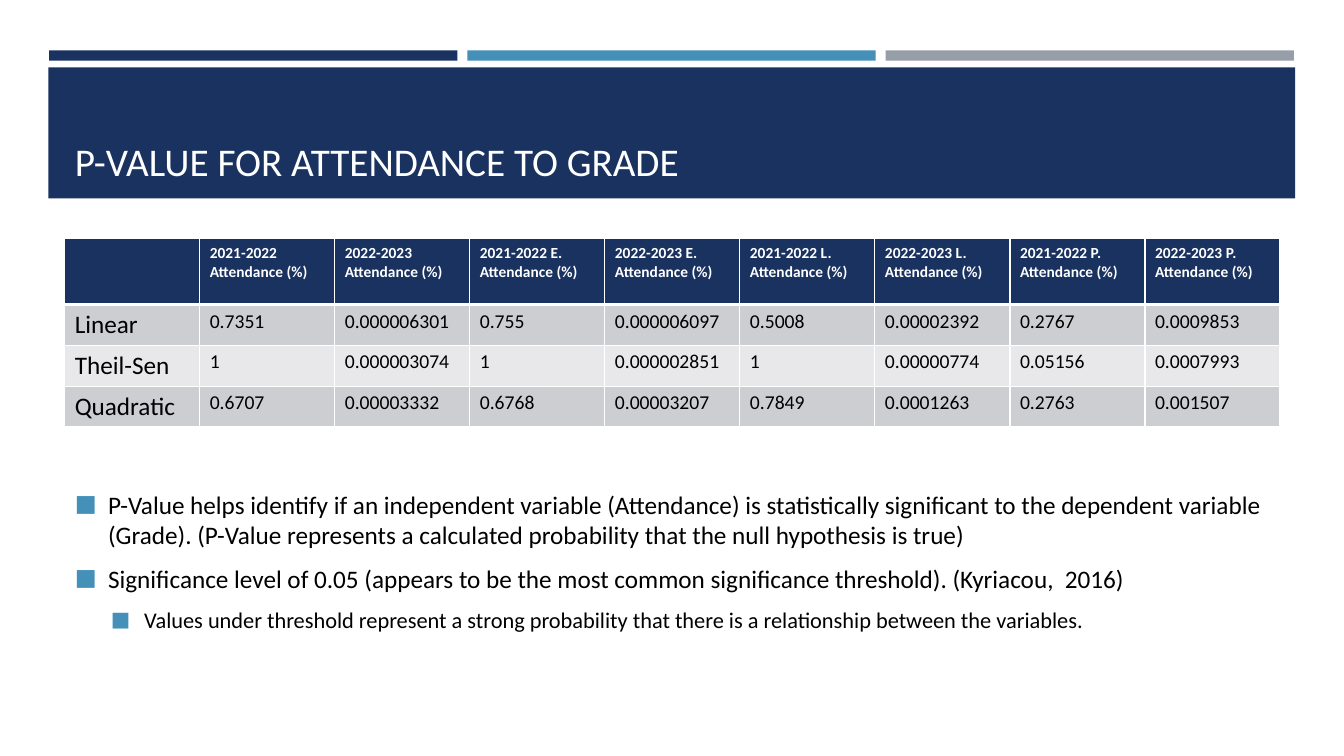
from dataclasses import dataclass

from lxml.etree import SubElement
from pptx import Presentation
from pptx.dml.color import RGBColor
from pptx.enum.shapes import MSO_SHAPE as Preset
from pptx.enum.text import MSO_ANCHOR as Anchor, MSO_AUTO_SIZE as AutoSize, PP_ALIGN as Align
from pptx.oxml import parse_xml
from pptx.oxml.ns import nsdecls, qn
from pptx.util import Cm, Pt

COLOURS = {
    "navy": "1A3260",
    "blue": "4590B8",
    "grey": "969FA7",
    "white": "FFFFFF",
    "black": "000000",
    "odd row": "CDCED2",
    "even row": "E8E8EA",
}
FORMATS = {
    "title": {"name": "Calibri", "size": Pt(28), "bold": False},
    "header": {"name": "Calibri", "size": Pt(11), "bold": True},
    "model": {"name": "Calibri", "size": Pt(18), "bold": False},
    "value": {"name": "Calibri", "size": Pt(14), "bold": False},
    "point": {"name": "Calibri", "size": Pt(18), "bold": False},
    "subpoint": {"name": "Calibri", "size": Pt(16), "bold": False},
}
LEFT, WIDTH = 1.63, 30.63


@dataclass
class Band:
    left: float
    top: float
    width: float
    height: float
    colour: str


@dataclass
class Point:
    text: str
    level: int
    indent: float
    style: str


BANDS = [
    Band(1.24 + 10.54 * index, 1.27, 10.29, 0.26, colour)
    for index, colour in enumerate(("navy", "blue", "grey"))
] + [Band(1.22, 1.7, 31.42, 3.3, "navy")]

P_VALUES = [
    ["", "2021-2022\nAttendance (%)", "2022-2023\nAttendance (%)"]
    + [f"{years} {group}. Attendance (%)" for group in "ELP" for years in ("2021-2022", "2022-2023")],
    ["Linear", "0.7351", "0.000006301", "0.755", "0.000006097",
     "0.5008", "0.00002392", "0.2767", "0.0009853"],
    ["Theil-Sen", "1", "0.000003074", "1", "0.000002851",
     "1", "0.00000774", "0.05156", "0.0007993"],
    ["Quadratic", "0.6707", "0.00003332", "0.6768", "0.00003207",
     "0.7849", "0.0001263", "0.2763", "0.001507"],
]

POINTS = [
    Point("P-Value helps identify if an independent variable (Attendance) is statistically "
          "significant to the dependent variable (Grade). (P-Value represents a calculated "
          "probability that the null hypothesis is true)", 0, 0.84, "point"),
    Point("Significance level of 0.05 (appears to be the most common significance threshold). "
          "(Kyriacou,  2016)", 0, 0.84, "point"),
    Point("Values under threshold represent a strong probability that there is a relationship "
          "between the variables.", 1, 1.75, "subpoint"),
]


def rgb(colour: str) -> RGBColor:
    return RGBColor.from_string(COLOURS[colour])


def format_font(font, style: str, colour: str) -> None:
    for attribute, value in FORMATS[style].items():
        setattr(font, attribute, value)
    font.color.rgb = rgb(colour)


def place(placeholder, top: float, height: float, anchor: Anchor) -> None:
    box = {"left": Cm(LEFT), "top": Cm(top), "width": Cm(WIDTH), "height": Cm(height)}
    for attribute, value in box.items():
        setattr(placeholder, attribute, value)
    frame = {"vertical_anchor": anchor, "word_wrap": True, "auto_size": AutoSize.NONE}
    for attribute, value in frame.items():
        setattr(placeholder.text_frame, attribute, value)


def draw_band(slide, band: Band) -> None:
    bar = slide.shapes.add_shape(
        Preset.RECTANGLE, Cm(band.left), Cm(band.top), Cm(band.width), Cm(band.height))
    bar.shadow.inherit = False
    bar.fill.solid()
    bar.fill.fore_color.rgb = rgb(band.colour)
    bar.line.fill.background()


def draw_title(slide, text: str) -> None:
    title = slide.shapes.title
    slide.shapes.element.append(title.element)
    place(title, 1.96, 2.82, Anchor.BOTTOM)
    title.text_frame.text = text
    heading = title.text_frame.paragraphs[0]
    heading.alignment = Align.LEFT
    format_font(heading.runs[0].font, "title", "white")


def add_borders(cell, top: float, bottom: float) -> None:
    borders = {"lnL": 1, "lnR": 1, "lnT": top, "lnB": bottom}
    for index, (side, width) in enumerate(borders.items()):
        cell._tc.get_or_add_tcPr().insert(index, parse_xml(
            f'<a:{side} {nsdecls("a")} w="{Pt(width)}"><a:solidFill>'
            f'<a:srgbClr val="{COLOURS["white"]}"/></a:solidFill></a:{side}>'))


def draw_table(slide, rows: list[list[str]]) -> None:
    heights = [1.65] + [1.03] * (len(rows) - 1)
    table = slide.shapes.add_table(
        len(rows), len(rows[0]), Cm(LEFT), Cm(6.02), Cm(WIDTH), Cm(sum(heights))).table
    for column in table.columns:
        column.width = Cm(WIDTH / len(rows[0]))
    for row_index, (texts, height) in enumerate(zip(rows, heights)):
        table.rows[row_index].height = Cm(height)
        is_header = row_index == 0
        fill = "navy" if is_header else "odd row" if row_index % 2 else "even row"
        for column_index, text in enumerate(texts):
            cell = table.cell(row_index, column_index)
            cell.text = text
            cell.fill.solid()
            cell.fill.fore_color.rgb = rgb(fill)
            add_borders(cell, 3 if row_index == 1 else 1, 3 if is_header else 1)
            style = "header" if is_header else "value" if column_index else "model"
            for paragraph in cell.text_frame.paragraphs:
                format_font(paragraph.font, style, "white" if is_header else "black")
                for run in paragraph.runs:
                    format_font(run.font, style, "white" if is_header else "black")


def add_bullet(paragraph, indent: float) -> None:
    properties = paragraph._p.get_or_add_pPr()
    properties.set("marL", str(Cm(indent)))
    properties.set("indent", str(Cm(-0.84)))
    bullet_colour = SubElement(properties, qn("a:buClr"))
    SubElement(bullet_colour, qn("a:srgbClr"), val=COLOURS["blue"])
    SubElement(properties, qn("a:buSzPct"), val="92000")
    SubElement(properties, qn("a:buFont"), typeface="Calibri")
    SubElement(properties, qn("a:buChar"), char="■")


def draw_points(slide, points: list[Point]) -> None:
    body = slide.placeholders[1]
    slide.shapes.element.append(body.element)
    place(body, 11.18, 5.92, Anchor.MIDDLE)
    body.text_frame.text = "\n".join(point.text for point in points)
    for paragraph, point in zip(body.text_frame.paragraphs, points):
        paragraph.level = point.level
        paragraph.space_before = Pt(3.6)
        paragraph.space_after = Pt(6)
        add_bullet(paragraph, point.indent)
        format_font(paragraph.runs[0].font, point.style, "black")


def main() -> None:
    presentation = Presentation()
    presentation.slide_width, presentation.slide_height = Cm(33.87), Cm(19.05)
    slide = presentation.slides.add_slide(presentation.slide_layouts[1])
    for band in BANDS:
        draw_band(slide, band)
    draw_title(slide, "P-VALUE FOR ATTENDANCE TO GRADE")
    draw_table(slide, P_VALUES)
    draw_points(slide, POINTS)
    presentation.save("out.pptx")


if __name__ == "__main__":
    main()
